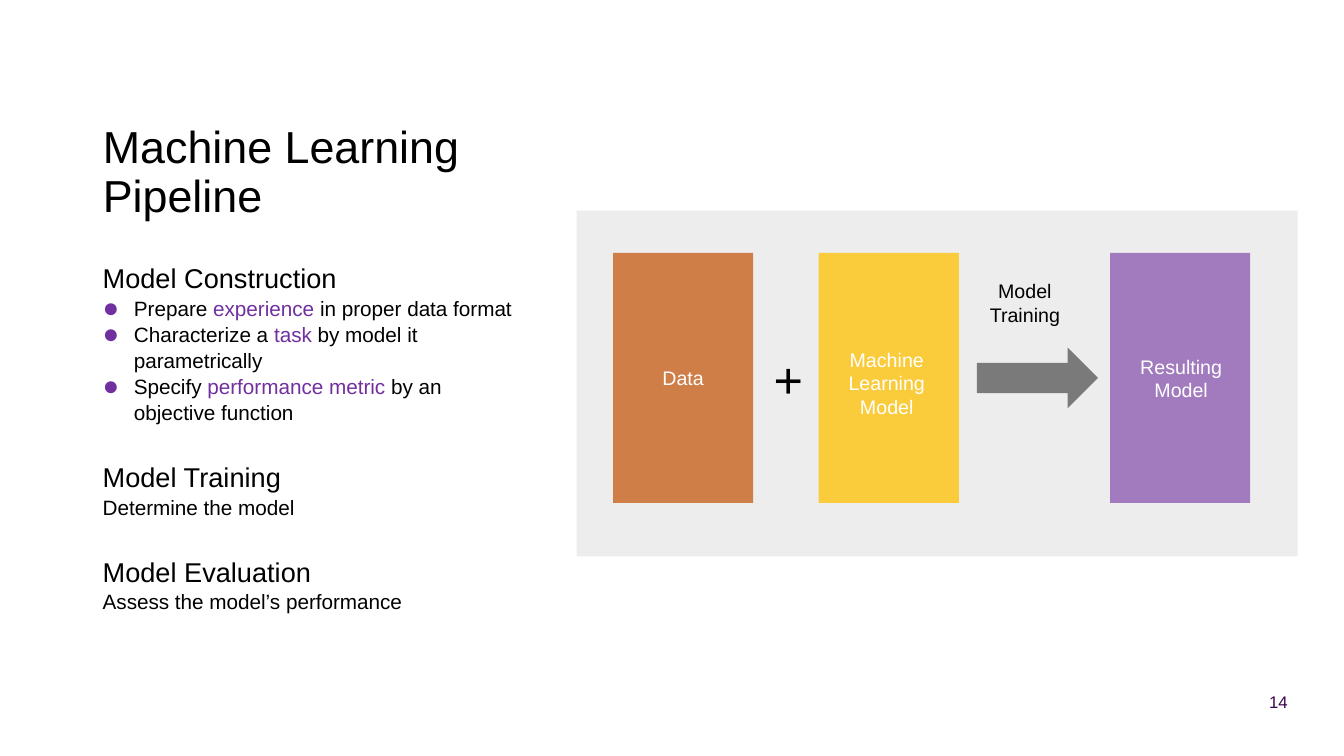
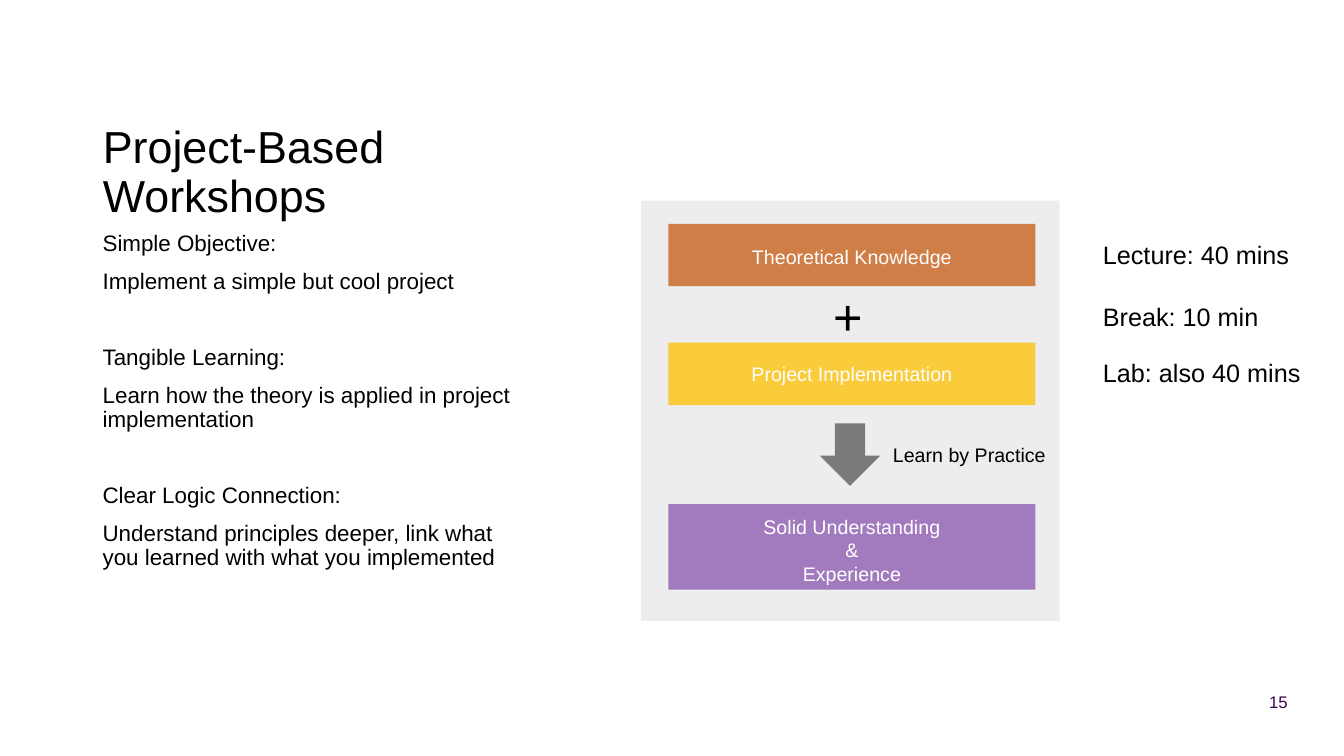
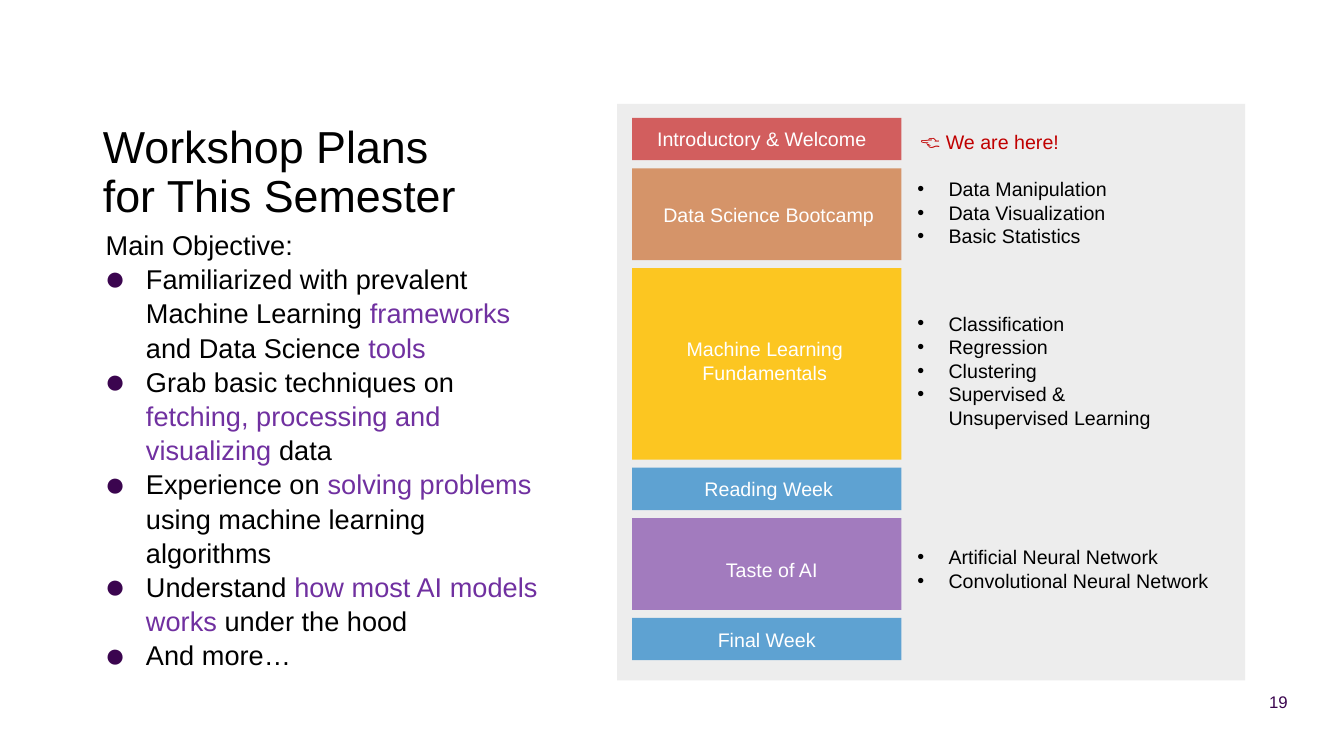
from dataclasses import dataclass
from typing import Optional

from lxml.etree import SubElement
from pptx import Presentation
from pptx.dml.color import RGBColor
from pptx.enum.shapes import MSO_SHAPE as SHAPE
from pptx.enum.text import MSO_ANCHOR as ANCHOR, MSO_AUTO_SIZE, PP_ALIGN as ALIGN
from pptx.oxml.ns import qn
from pptx.util import Pt

PX = 9144  # EMU: 100 px to the inch
FONT = "Arial"

BLACK = RGBColor(0x00, 0x00, 0x00)
WHITE = RGBColor(0xFF, 0xFF, 0xFF)
PANEL = RGBColor(0xD8, 0xD8, 0xD8)
ARROW = RGBColor(0x3A, 0x38, 0x38)
ORANGE = RGBColor(0xC5, 0x5A, 0x11)
YELLOW = RGBColor(0xFF, 0xC0, 0x00)
PURPLE = RGBColor(0x70, 0x30, 0xA0)
PLUM = RGBColor(0x3B, 0x05, 0x4F)
RED = RGBColor(0xC0, 0x00, 0x00)
BLUE = RGBColor(0x00, 0x70, 0xC0)


@dataclass
class Bullet:
    glyph: str
    color: RGBColor
    percent: int
    left: int
    hang: int


@dataclass
class Line:
    """One paragraph; text between asterisks is highlighted."""
    text: str
    size: Optional[float] = None
    before: float = 0
    bullet: Optional[Bullet] = None
    left: int = 0


class Deck:
    def __init__(self):
        self.prs = Presentation()
        self.prs.slide_width = 1333 * PX
        self.prs.slide_height = 750 * PX
        self.slide = None

    def new_slide(self, title, number):
        self.slide = self.prs.slides.add_slide(self.prs.slide_layouts[5])
        heading = self.slide.shapes.title
        heading.left, heading.top = 92 * PX, 50 * PX
        heading.width, heading.height = 430 * PX, 175 * PX
        frame = heading.text_frame
        frame.auto_size = MSO_AUTO_SIZE.NONE
        frame.vertical_anchor = ANCHOR.BOTTOM
        self.set_lines(frame, [title], 32, BLACK, ALIGN.LEFT, 0.9)
        self.text(1242, 676, 45, 40, [str(number)], 12, PLUM, ALIGN.RIGHT,
                  anchor=ANCHOR.MIDDLE)

    def set_lines(self, frame, lines, size, color, align, spacing=None):
        frame.word_wrap = True
        for index, line in enumerate(lines):
            if isinstance(line, str):
                line = Line(line)
            paragraph = frame.paragraphs[0] if index == 0 else frame.add_paragraph()
            if "*" in line.text:
                for part, words in enumerate(line.text.split("*")):
                    if words:
                        run = paragraph.add_run()
                        run.text = words
                        if part % 2:
                            run.font.color.rgb = PURPLE
            else:
                paragraph.text = line.text
            self.indent(paragraph, line)
            paragraph.alignment = align
            if spacing:
                paragraph.line_spacing = spacing
            if line.before:
                paragraph.space_before = Pt(line.before)
            font = paragraph.font
            font.name = FONT
            font.size = Pt(line.size or size)
            font.color.rgb = color

    def indent(self, paragraph, line):
        properties = paragraph._p.get_or_add_pPr()
        bullet = line.bullet
        if not bullet:
            if line.left:
                properties.set("marL", str(line.left * PX))
            return
        properties.set("marL", str(bullet.left * PX))
        properties.set("indent", str(-bullet.hang * PX))
        tint = SubElement(properties, qn("a:buClr"))
        SubElement(tint, qn("a:srgbClr"), val=str(bullet.color))
        SubElement(properties, qn("a:buSzPct"), val=str(bullet.percent * 1000))
        SubElement(properties, qn("a:buFont"), typeface=FONT)
        SubElement(properties, qn("a:buChar"), char=bullet.glyph)

    def text(self, x, y, w, h, lines, size=14, color=BLACK, align=ALIGN.LEFT,
             anchor=ANCHOR.TOP, spacing=None):
        box = self.slide.shapes.add_textbox(x * PX, y * PX, w * PX, h * PX)
        box.text_frame.vertical_anchor = anchor
        self.set_lines(box.text_frame, lines, size, color, align, spacing)

    def block(self, x, y, w, h, color, alpha, lines=(), nudge=(0, 0),
              kind=SHAPE.RECTANGLE):
        """Translucent shape; nudge moves its centred label by (dx, dy)."""
        shape = self.slide.shapes.add_shape(kind, x * PX, y * PX, w * PX, h * PX)
        shape.shadow.inherit = False
        shape.line.fill.background()
        shape.fill.solid()
        shape.fill.fore_color.rgb = color
        tint = shape._element.spPr.find(".//" + qn("a:srgbClr"))
        SubElement(tint, qn("a:alpha"), val=str(alpha * 1000))
        frame = shape.text_frame
        dx, dy = nudge
        frame.margin_left = 2 * max(dx, 0) * PX
        frame.margin_right = 2 * max(-dx, 0) * PX
        frame.margin_top = 2 * max(dy, 0) * PX
        frame.margin_bottom = 2 * max(-dy, 0) * PX
        frame.vertical_anchor = ANCHOR.MIDDLE
        self.set_lines(frame, lines, 14, WHITE, ALIGN.CENTER)

    def panel(self, x, y, w, h):
        self.block(x, y, w, h, PANEL, 46)

    def arrow(self, x, y, w, h, kind):
        self.block(x, y, w, h, ARROW, 63, kind=kind)

    def plus(self, x, y):
        self.text(x, y, 62, 71, ["+"], 36, align=ALIGN.CENTER)


def pipeline(deck):
    deck.new_slide("Machine Learning Pipeline", 14)
    deck.panel(572, 209, 715, 343)
    dot = Bullet("●", PURPLE, 133, 31, 31)
    heading, gap = 19.4, 24.4
    deck.text(92, 225, 430, 417, [
        Line("Model Construction", heading),
        Line("Prepare *experience *in proper data format", bullet=dot),
        Line("Characterize a *task* by model it parametrically", bullet=dot),
        Line("Specify *performance metric *by an objective function", bullet=dot),
        Line("Model Training", heading, gap),
        Line("Determine the model"),
        Line("Model Evaluation", heading, gap),
        Line("Assess the model’s performance"),
    ], 14.8, anchor=ANCHOR.MIDDLE, spacing=1.05)
    for x, color, alpha, label, nudge in (
        (608, ORANGE, 75, ["Data"], (0, 0)),
        (812, YELLOW, 75, ["Machine", "Learning", "Model"], (-2, 5)),
        (1101, PURPLE, 60, ["Resulting", "Model"], (1, 0)),
    ):
        deck.block(x, 251, 139, 248, color, alpha, label, nudge)
    deck.plus(751, 340)
    deck.arrow(969, 345, 120, 60, SHAPE.RIGHT_ARROW)
    deck.text(952, 272, 129, 57, ["Model", "Training"], align=ALIGN.CENTER)


def workshops(deck):
    deck.new_slide("Project-Based Workshops", 15)
    topics = (
        ("Simple Objective:", "Implement a simple but cool project"),
        ("Tangible Learning:",
         "Learn how the theory is applied in project implementation"),
        ("Clear Logic Connection:",
         "Understand principles deeper, link what you learned with what you implemented"),
    )
    lines = []
    for name, detail in topics:
        lines += [Line(name, before=37 if lines else 0), Line(detail, before=10)]
    deck.text(92, 225, 430, 417, lines, 16, spacing=0.9)

    deck.panel(636, 199, 415, 417)
    for y, h, color, alpha, label, nudge in (
        (222, 62, ORANGE, 75, ["Theoretical Knowledge"], (0, 2)),
        (340, 62, YELLOW, 75, ["Project Implementation"], (0, 0)),
        (500, 85, PURPLE, 60, ["Solid Understanding", "&", "Experience"], (0, 3)),
    ):
        deck.block(663, y, 364, h, color, alpha, label, nudge)
    deck.plus(810, 278)
    deck.arrow(813, 420, 60, 62, SHAPE.DOWN_ARROW)
    deck.text(873, 434, 177, 34, ["Learn by Practice"], align=ALIGN.CENTER)
    for y, session in ((233, "Lecture: 40 mins"), (294, "Break: 10 min"),
                       (350, "Lab: also 40 mins")):
        deck.text(1084, y, 232, 40, [session], 18)


def semester(deck):
    deck.new_slide("Workshop Plans\vfor This Semester", 19)
    dot = Bullet("●", PLUM, 129, 50, 41)
    goals = (
        "Familiarized with prevalent Machine Learning *frameworks* and Data Science *tools*",
        "Grab basic techniques on *fetching, processing and visualizing* data",
        "Experience on *solving problems* using machine learning algorithms",
        "Understand *how most AI models works* under the hood",
        "And more…",
    )
    lines = [Line("Main Objective:", left=10)]
    lines += [Line(goal, bullet=dot) for goal in goals]
    deck.text(85, 220, 467, 456, lines, 19.4, spacing=1.05)

    deck.panel(612, 103, 623, 572)
    y, gap = 117, 8
    for h, color, alpha, label, nudge in (
        (42, RED, 60, ["Introductory & Welcome"], (-5, 0)),
        (91, ORANGE, 60, ["Data Science Bootcamp"], (2, 0)),
        (190, YELLOW, 86, ["Machine Learning", "Fundamentals"], (-2, -3)),
        (42, BLUE, 60, ["Reading Week"], (2, 0)),
        (91, PURPLE, 60, ["Taste of AI"], (5, 6)),
        (42, BLUE, 60, ["Final Week"], (0, 1)),
    ):
        deck.block(627, y, 267, h, color, alpha, label, nudge)
        y += h + gap

    point = Bullet("•", BLACK, 100, 31, 31)
    for y, h, contents in (
        (171, 81, ("Data Manipulation", "Data Visualization", "Basic Statistics")),
        (304, 129, ("Classification", "Regression", "Clustering",
                    "Supervised &\vUnsupervised Learning")),
        (536, 58, ("Artificial Neural Network", "Convolutional Neural Network")),
    ):
        deck.text(900, y, 340, h, [Line(item, bullet=point) for item in contents])
    deck.text(903, 124, 180, 34, ["👈 We are here!"], color=RED)


def main():
    deck = Deck()
    pipeline(deck)
    workshops(deck)
    semester(deck)
    deck.prs.save("out.pptx")


if __name__ == "__main__":
    main()
